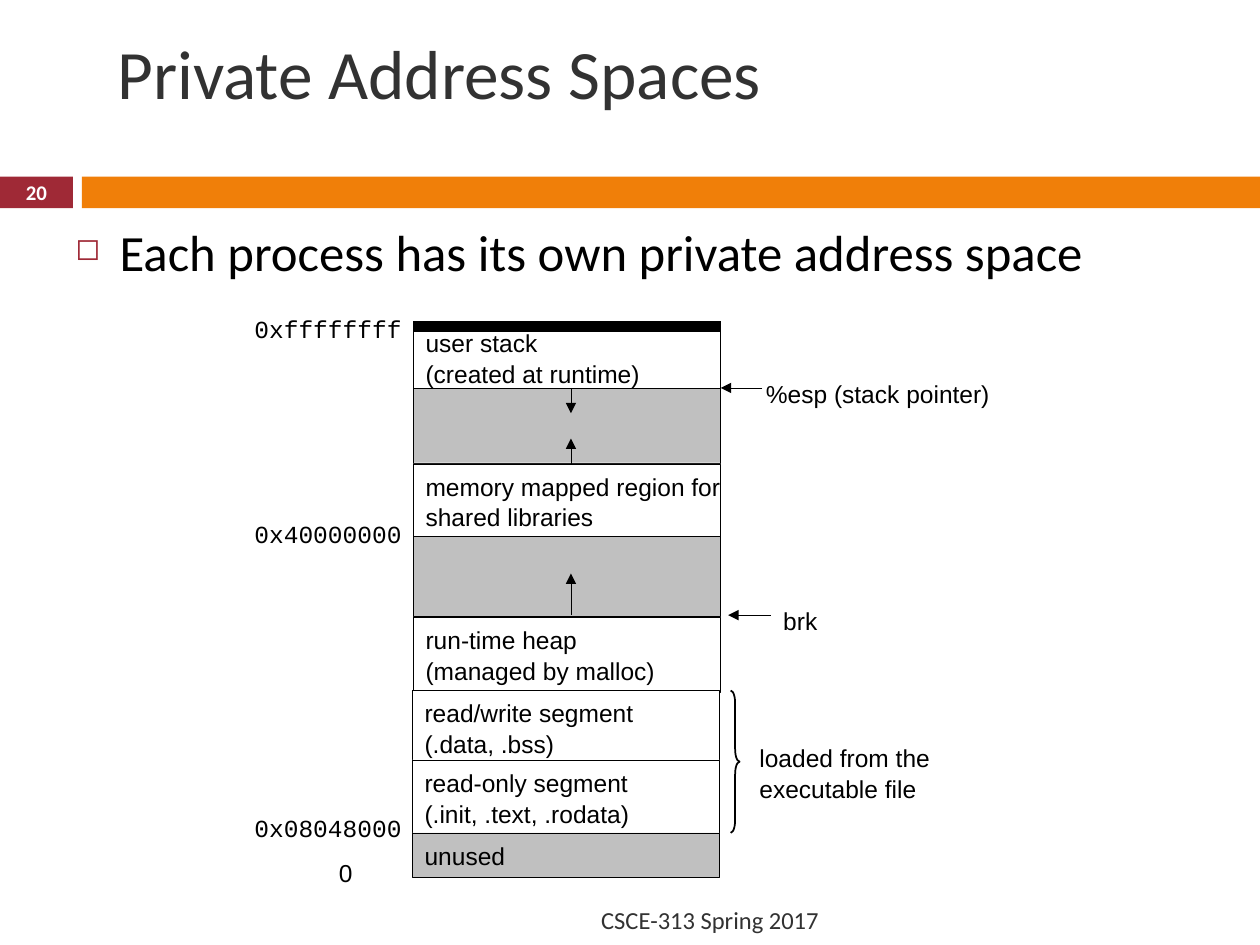
"""Build the slide on private address spaces with its memory map."""
import pptx
import pptx.dml.color
import pptx.enum.shapes
import pptx.enum.text
import pptx.oxml
import pptx.oxml.ns
import pptx.util

Cm, Pt = pptx.util.Cm, pptx.util.Pt
SHAPE = pptx.enum.shapes.MSO_SHAPE
ALIGN = pptx.enum.text.PP_ALIGN
ANCHOR = pptx.enum.text.MSO_ANCHOR
NS = pptx.oxml.ns.nsdecls("a")

BLACK, WHITE, GREY, DARK = "000000", "FFFFFF", "C0C0C0", "323232"
RED, ORANGE = "9F2936", "F07F09"
COLUMN_LEFT, COLUMN_RIGHT, COLUMN_WIDTH = 8.33, 14.53, 6.2
SEGMENT_LEFT, ARROW_X = 8.31, 11.51

REGIONS = [
    (COLUMN_LEFT, 7.32, 2.01, GREY, []),
    (COLUMN_LEFT, 6.58, 1.24, WHITE, ["user stack", "(created at runtime)"]),
    (COLUMN_LEFT, 9.35, 1.5, WHITE, ["memory mapped region for", "shared libraries"]),
    (COLUMN_LEFT, 10.82, 1.6, GREY, []),
    (COLUMN_LEFT, 12.45, 1.5, WHITE, ["run-time heap", "(managed by malloc)"]),
    (SEGMENT_LEFT, 13.92, 1.5, WHITE, ["read/write segment", "(.data, .bss)"]),
    (SEGMENT_LEFT, 15.32, 1.5, WHITE, ["read-only segment", "(.init, .text, .rodata)"]),
    (SEGMENT_LEFT, 16.79, 0.89, GREY, ["unused"]),
]
ARROWS = [
    (ARROW_X, 7.82, ARROW_X, 8.33),
    (ARROW_X, 9.35, ARROW_X, 8.84),
    (ARROW_X, 12.4, ARROW_X, 11.56),
    (15.37, 7.82, COLUMN_RIGHT, 7.82),
    (15.54, 12.4, 14.68, 12.4),
]
ADDRESSES = [("0xffffffff", 6.2), ("0x40000000", 10.34), ("0x08048000", 16.26)]
LABELS = [
    (["0"], 6.58, 17.15, 0.79, 0.84),
    (["%esp (stack pointer)"], 15.19, 7.49, 5, 0.84),
    (["brk"], 15.54, 12.07, 1.19, 0.84),
    (["loaded from the", "executable file"], 15.06, 14.83, 4.09, 1.45),
]


def rgb(value):
    """Turn a hex string into a colour."""
    return pptx.dml.color.RGBColor.from_string(value)


class Deck:
    """Hold the style and the current slide."""

    base = {"name": "Arial", "size": Pt(14), "bold": False}

    def __init__(self):
        """Start a deck with one title-only slide."""
        self.prs = pptx.Presentation()
        self.prs.slide_width, self.prs.slide_height = Cm(25.4), Cm(19.05)
        self.s = self.prs.slides.add_slide(self.prs.slide_layouts[5])

    def put_text(self, sp, lines, color=BLACK, align=ALIGN.LEFT, anchor=ANCHOR.TOP,
                 wrap=False, spacing=None, bullet=None, **font):
        """Fill a shape with formatted paragraphs."""
        tf = sp.text_frame
        frame = {"word_wrap": wrap, "vertical_anchor": anchor,
                 "auto_size": pptx.enum.text.MSO_AUTO_SIZE.NONE}
        for key, value in frame.items():
            setattr(tf, key, value)
        for i, line in enumerate(lines):
            p = tf.paragraphs[0] if i == 0 else tf.add_paragraph()
            p.alignment, p.line_spacing = align, spacing
            if bullet:
                self.bullet(p, bullet)
            r = p.add_run()
            r.text = line
            for key, value in {**self.base, **font}.items():
                setattr(r.font, key, value)
            r.font.color.rgb = rgb(color)

    def bullet(self, p, char):
        """Give a paragraph a hanging bullet."""
        pPr = p._p.get_or_add_pPr()
        pPr.set("marL", str(Cm(0.89)))
        pPr.set("indent", str(-Cm(0.89)))
        for xml in (f'<a:buClr {NS}><a:srgbClr val="{RED}"/></a:buClr>',
                    f'<a:buSzPct {NS} val="60000"/>',
                    f'<a:buChar {NS} char="{char}"/>'):
            pPr.append(pptx.oxml.parse_xml(xml))

    def title(self, text, *box, **style):
        """Place and fill the title."""
        sp = self.s.shapes.title
        for key, value in zip(("left", "top", "width", "height"), box):
            setattr(sp, key, Cm(value))
        self.put_text(sp, [text], **style)

    def text(self, lines, *box, **style):
        """Add a text box."""
        self.put_text(self.s.shapes.add_textbox(*map(Cm, box)), lines, **style)

    def shape(self, kind, *box, fill=None, line=None):
        """Add a preset shape with optional fill and line width."""
        sp = self.s.shapes.add_shape(kind, *map(Cm, box))
        sp.shadow.inherit = False
        if fill:
            sp.fill.solid()
            sp.fill.fore_color.rgb = rgb(fill)
        else:
            sp.fill.background()
        if line:
            sp.line.color.rgb = rgb(BLACK)
            sp.line.width = Pt(line)
        else:
            sp.line.fill.background()
        return sp

    def line(self, *ends, width=0.25, arrow=False):
        """Add a straight line, with an arrowhead at its end if asked."""
        sp = self.s.shapes.add_connector(
            pptx.enum.shapes.MSO_CONNECTOR.STRAIGHT, *map(Cm, ends))
        sp.line.color.rgb = rgb(BLACK)
        sp.line.width = Pt(width)
        if arrow:
            sp.line._get_or_add_ln().append(
                pptx.oxml.parse_xml(f'<a:tailEnd {NS} type="triangle"/>'))
        sp._element.spPr.append(pptx.oxml.parse_xml(f"<a:effectLst {NS}/>"))


def main():
    """Draw the slide and save it."""
    d = Deck()
    d.shape(SHAPE.RECTANGLE, 0, 3.56, 1.47, 0.64, fill=RED)
    d.shape(SHAPE.RECTANGLE, 1.65, 3.56, 23.75, 0.64, fill=ORANGE)
    d.title("Private Address Spaces", 2.11, 0.64, 17.81, 1.6, name="Calibri",
            size=Pt(39.6), color=DARK, anchor=ANCHOR.MIDDLE, wrap=True)
    d.text(["Each process has its own private address space"], 1.27, 4.32, 23.09, 2.67,
           name="Calibri", size=Pt(29), wrap=True, bullet="◻")

    for left, top, height, fill, lines in REGIONS:
        sp = d.shape(SHAPE.RECTANGLE, left, top, COLUMN_WIDTH, height, fill=fill, line=0.25)
        if lines:
            d.put_text(sp, lines, anchor=ANCHOR.MIDDLE, spacing=1.05)
    for ends in ARROWS:
        d.line(*ends, arrow=True)
    d.line(COLUMN_LEFT, 6.58, COLUMN_RIGHT, 6.58, width=6)
    brace = d.shape(SHAPE.RIGHT_BRACE, 14.73, 13.92, 0.18, 2.87, line=1)
    brace.adjustments[0] = 1.4

    for address, top in ADDRESSES:
        d.text([address], 4.88, top, 3.48, 0.84, name="Courier New")
    for lines, *box in LABELS:
        d.text(lines, *box, spacing=1.05)

    d.text(["CSCE-313 Spring 2017"], 1.7, 18.03, 15.06, 1.02, name="Calibri",
           color=DARK, align=ALIGN.RIGHT, anchor=ANCHOR.MIDDLE, wrap=True)
    d.text(["20"], 0, 3.53, 1.47, 0.69, name="Calibri", size=Pt(11.9), bold=True,
           color=WHITE, align=ALIGN.CENTER, anchor=ANCHOR.MIDDLE, wrap=True)
    d.prs.save("out.pptx")


if __name__ == "__main__":
    main()
